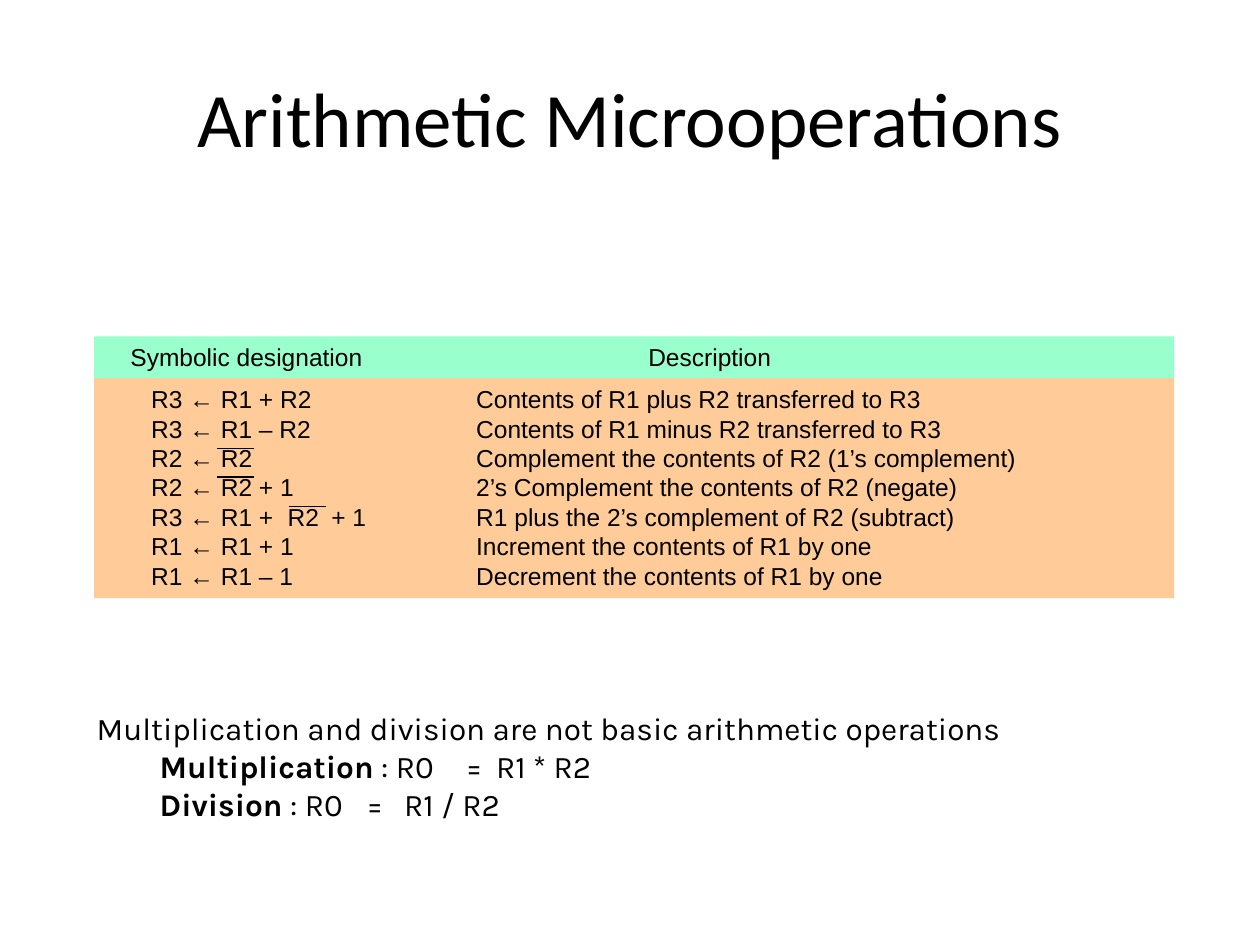
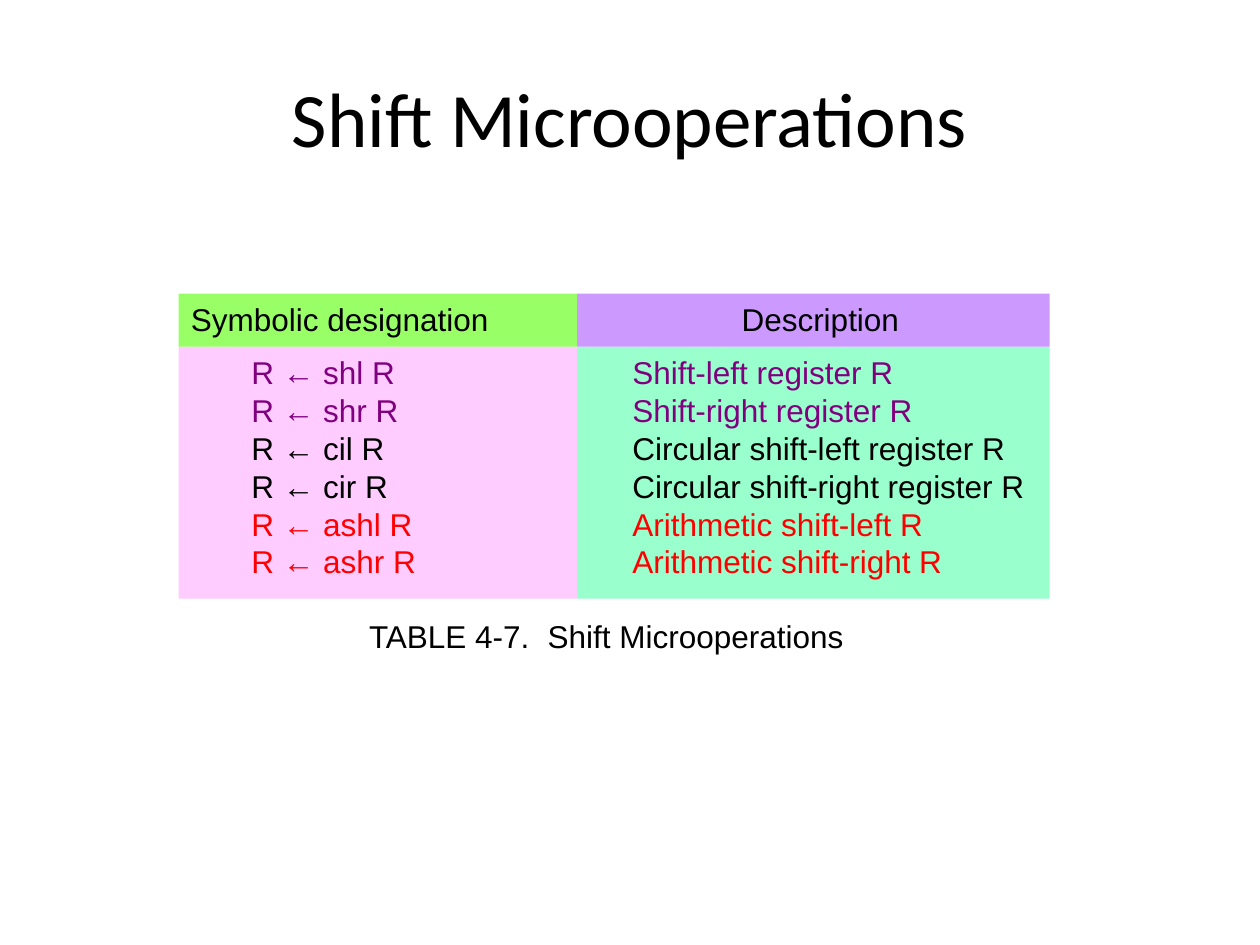
"""Build two slides on arithmetic and shift microoperations."""
import pptx
import pptx.util
import pptx.dml.color
import pptx.enum.shapes
import pptx.enum.text
import pptx.oxml.ns
import lxml.etree

Cm = pptx.util.Cm
Pt = pptx.util.Pt
qn = pptx.oxml.ns.qn

HUES = {
    "ink": "000000", "peach": "FFCC99", "mint": "99FFCC", "pink": "FFCCFF",
    "mauve": "CC99FF", "lime": "99FF66", "plum": "800080", "red": "FF0000",
}


class Deck:
    def __init__(self):
        self.show = pptx.Presentation()
        self.show.slide_width, self.show.slide_height = Cm(25.4), Cm(19.05)
        self.slide = None

    def hue(self, name):
        return pptx.dml.color.RGBColor.from_string(HUES[name])

    def style(self, run, hue="ink", **form):
        for key, value in form.items():
            setattr(run.font, key, value)
        run.font.color.rgb = self.hue(hue)

    def open(self, title):
        self.slide = self.show.slides.add_slide(self.show.slide_layouts[5])
        head = self.slide.shapes.title
        place = {"left": 1.27, "top": 0.76, "width": 22.86, "height": 3.18}
        for key, value in place.items():
            setattr(head, key, Cm(value))
        head.text_frame.vertical_anchor = pptx.enum.text.MSO_ANCHOR.MIDDLE
        para = head.text_frame.paragraphs[0]
        para.alignment = pptx.enum.text.PP_ALIGN.CENTER
        run = para.add_run()
        run.text = title
        self.style(run, name="Calibri", size=Pt(44))

    def band(self, hue, *box):
        rect = pptx.enum.shapes.MSO_SHAPE.RECTANGLE
        shape = self.slide.shapes.add_shape(rect, *map(Cm, box))
        shape.shadow.inherit = False
        shape.fill.solid()
        shape.fill.fore_color.rgb = self.hue(hue)
        shape.line.fill.background()

    def bar(self, left, top, width=0.76):
        kind = pptx.enum.shapes.MSO_CONNECTOR.STRAIGHT
        ends = map(Cm, (left + width, top, left, top))
        line = self.slide.shapes.add_connector(kind, *ends)
        line.line.color.rgb = self.hue("ink")
        line.line.width = Pt(1)
        lxml.etree.SubElement(line._element.spPr, qn("a:effectLst"))

    def stops(self, para, spots):
        tabs = lxml.etree.SubElement(para._p.get_or_add_pPr(), qn("a:tabLst"))
        for spot in spots:
            lxml.etree.SubElement(tabs, qn("a:tab"), pos=str(Cm(spot)), algn="l")

    def text(self, box, lines, face, size, gap=0, hues=()):
        """Write lines of (tab stop, text, bold) parts; stop 0 means no tab."""
        frame = self.slide.shapes.add_textbox(*map(Cm, box)).text_frame
        frame.word_wrap = True
        for index, parts in enumerate(lines):
            para = frame.paragraphs[0] if index == 0 else frame.add_paragraph()
            spots = [part[0] for part in parts if part[0]]
            if spots:
                self.stops(para, spots)
            if index == 1 and gap:
                para.space_before = Pt(gap)
            for spot, words, *bold in parts:
                run = para.add_run()
                run.text = "\t" + words if spot else words
                self.style(run, hues[index] if hues else "ink",
                           name=face, size=Pt(size), bold=bool(bold))


def sums(deck):
    deck.open("Arithmetic Microoperations")
    deck.band("peach", 1.9, 7.62, 21.77, 4.44)
    deck.band("mint", 1.9, 6.78, 21.77, 0.84)
    rows = [
        (["R3 ← R1 + R2"], "Contents of R1 plus R2 transferred to R3"),
        (["R3 ← R1 – R2"], "Contents of R1 minus R2 transferred to R3"),
        (["R2 ← R2"], "Complement the contents of R2 (1’s complement)"),
        (["R2 ← R2 + 1"], "2’s Complement the contents of R2 (negate)"),
        (["R3 ← R1 +", "R2", "+ 1"], "R1 plus the 2’s complement of R2 (subtract)"),
        (["R1 ← R1 + 1"], "Increment the contents of R1 by one"),
        (["R1 ← R1 – 1"], "Decrement the contents of R1 by one"),
    ]
    lines = [[(0.48, "Symbolic designation"), (10.92, "Description")]]
    for terms, note in rows:
        lines.append([*zip((0.9, 3.65, 4.53), terms), (7.45, note)])
    deck.text((1.9, 6.78, 22.02, 5.28), lines, "Arial", 14, 7)
    for left, top in ((4.37, 9.04), (4.37, 9.61), (5.82, 10.21)):
        deck.bar(left, top)
    notes = [
        [(0, "Multiplication and division are not basic arithmetic operations")],
        [(1.27, "Multiplication", True), (0, " : R0"), (7.44, "="), (8.05, "R1 * R2")],
        [(1.27, "Division", True), (0, " : R0"), (5.44, "="), (6.2, "R1 / R2")],
    ]
    deck.text((1.7, 14.17, 22.02, 2.54), notes, "Karla", 18)


def shifts(deck):
    deck.open("Shift Microoperations")
    for left, width, head, body in ((11.63, 9.53, "mauve", "mint"),
                                    (3.6, 8.03, "lime", "pink")):
        deck.band(body, left, 6.99, width, 5.08)
        deck.band(head, left, 5.92, width, 1.07)
    rows = [
        ("shl", "Shift-left register R", "plum"),
        ("shr", "Shift-right register R", "plum"),
        ("cil", "Circular shift-left register R", "ink"),
        ("cir", "Circular shift-right register R", "ink"),
        ("ashl", "Arithmetic shift-left R", "red"),
        ("ashr", "Arithmetic shift-right R", "red"),
    ]
    lines = [[(0, "Symbolic designation"), (11.1, "Description")]]
    lines += [[(1.22, f"R ← {code} R"), (8.9, note)] for code, note, hue in rows]
    hues = ["ink"] + [row[2] for row in rows]
    deck.text((3.6, 5.92, 17.78, 6.73), lines, "Arial", 18, 9, hues)
    deck.text((7.19, 12.32, 10.59, 1.02),
              [[(0, "TABLE 4-7."), (3.6, "Shift Microoperations")]], "Arial", 18)


def main():
    deck = Deck()
    sums(deck)
    shifts(deck)
    deck.show.save("out.pptx")


if __name__ == "__main__":
    main()
